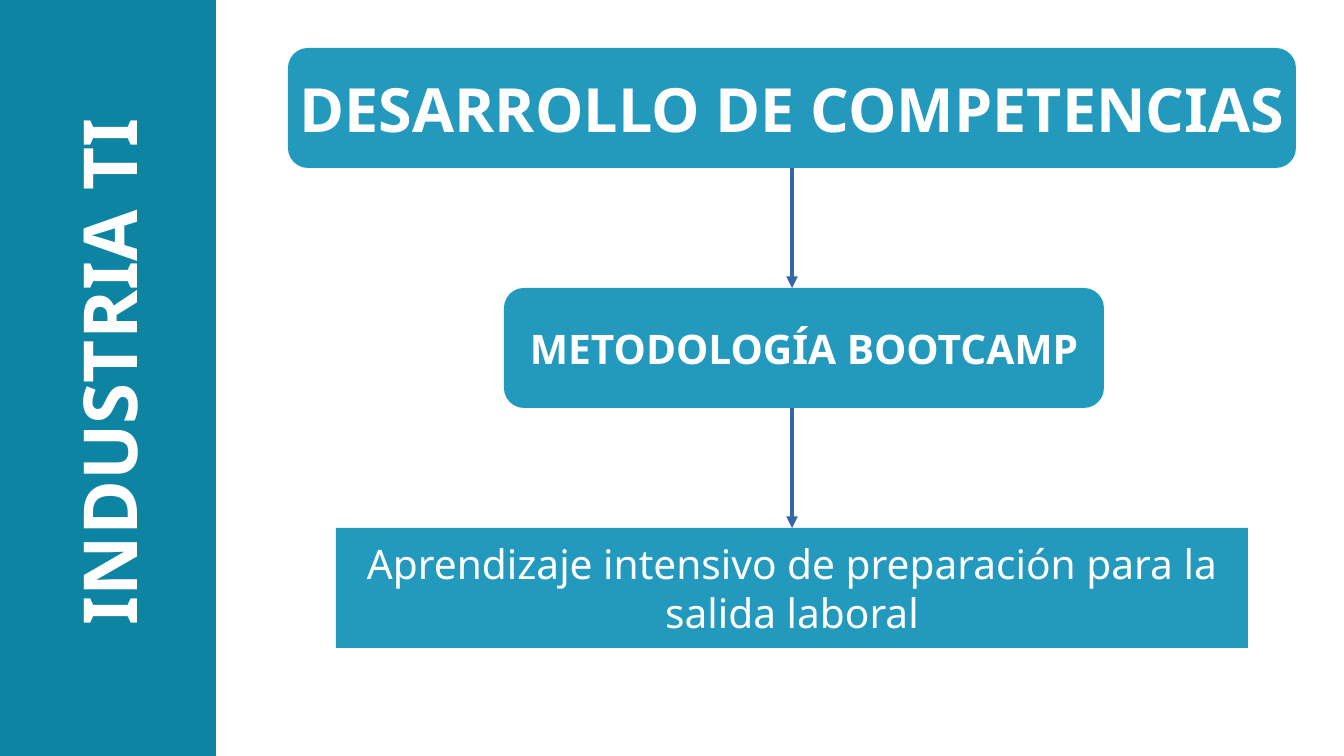
from dataclasses import dataclass

from lxml.etree import SubElement
from pptx import Presentation
from pptx.dml.color import RGBColor
from pptx.enum.shapes import MSO_CONNECTOR as Line, MSO_SHAPE as Shape
from pptx.enum.text import MSO_ANCHOR as Anchor, PP_ALIGN as Align
from pptx.oxml.ns import qn
from pptx.util import Cm, Pt


@dataclass(frozen=True)
class Theme:
    font: str = "Noto Sans"
    text: RGBColor = RGBColor.from_string("FFFFFF")
    sidebar: RGBColor = RGBColor.from_string("0D84A1")
    step: RGBColor = RGBColor.from_string("2499BE")
    arrow: RGBColor = RGBColor.from_string("3465A4")
    title_size: int = 44
    heading_size: int = 36
    body_size: int = 24
    arrow_width: float = 2.3


theme = Theme()
CELL = Cm(0.5)
COLUMNS, ROWS = 56, 31.5
SIDEBAR_COLUMNS = 9
STEP_ROWS, GAP_ROWS, FIRST_ROW = 5, 5, 2
AXIS_COLUMN = 33


def grid(*cells):
    """Turn counts of grid cells into lengths."""
    return [int(count * CELL) for count in cells]


def write(owner, wording, size, bold, wrap):
    frame = owner.text_frame
    frame.word_wrap = wrap
    frame.vertical_anchor = Anchor.MIDDLE
    paragraph = frame.paragraphs[0]
    paragraph.text = wording
    paragraph.alignment = Align.CENTER
    font = paragraph.font
    font.name, font.size, font.bold = theme.font, Pt(size), bold
    font.color.rgb = theme.text


deck = Presentation()
deck.slide_width, deck.slide_height = grid(COLUMNS, ROWS)
slide = deck.slides.add_slide(deck.slide_layouts[6])
shapes = slide.shapes

# Sidebar with the vertical title
sidebar = shapes.add_shape(Shape.RECTANGLE, *grid(0, 0, SIDEBAR_COLUMNS, ROWS))
sidebar.shadow.inherit = False
sidebar.fill.solid()
sidebar.fill.fore_color.rgb = theme.sidebar
sidebar.line.fill.background()

title_columns, title_rows = 28, 7
title = shapes.add_textbox(*grid(
    (SIDEBAR_COLUMNS - title_columns) / 2, 12, title_columns, title_rows))
title.rotation = 270
write(title, "INDUSTRIA TI", theme.title_size, bold=True, wrap=True)
margins = title.text_frame
margins.margin_left = margins.margin_right = 0
margins.margin_top = margins.margin_bottom = 0

# Steps from top to bottom: wording, outline, first column, columns, size, bold
steps = [
    ("DESARROLLO DE COMPETENCIAS", Shape.ROUNDED_RECTANGLE,
     12, 42, theme.heading_size, True),
    ("METODOLOGÍA BOOTCAMP", Shape.ROUNDED_RECTANGLE,
     21, 25, theme.body_size, True),
    ("Aprendizaje intensivo de preparación para la salida laboral",
     Shape.RECTANGLE, 14, 38, theme.body_size, False),
]
for index, (wording, outline, column, columns, size, bold) in enumerate(steps):
    row = FIRST_ROW + index * (STEP_ROWS + GAP_ROWS)
    step = shapes.add_shape(outline, *grid(column, row, columns, STEP_ROWS))
    step.shadow.inherit = False
    step.fill.solid()
    step.fill.fore_color.rgb = theme.step
    step.line.fill.background()
    write(step, wording, size, bold, wrap=not bold)

    if index > 0:
        arrow = shapes.add_connector(
            Line.STRAIGHT, *grid(AXIS_COLUMN, row - GAP_ROWS, AXIS_COLUMN, row))
        arrow.line.color.rgb = theme.arrow
        arrow.line.width = Pt(theme.arrow_width)
        SubElement(arrow.line._get_or_add_ln(), qn("a:tailEnd"), type="triangle")
        SubElement(arrow._element.spPr, qn("a:effectLst"))

deck.save("out.pptx")
